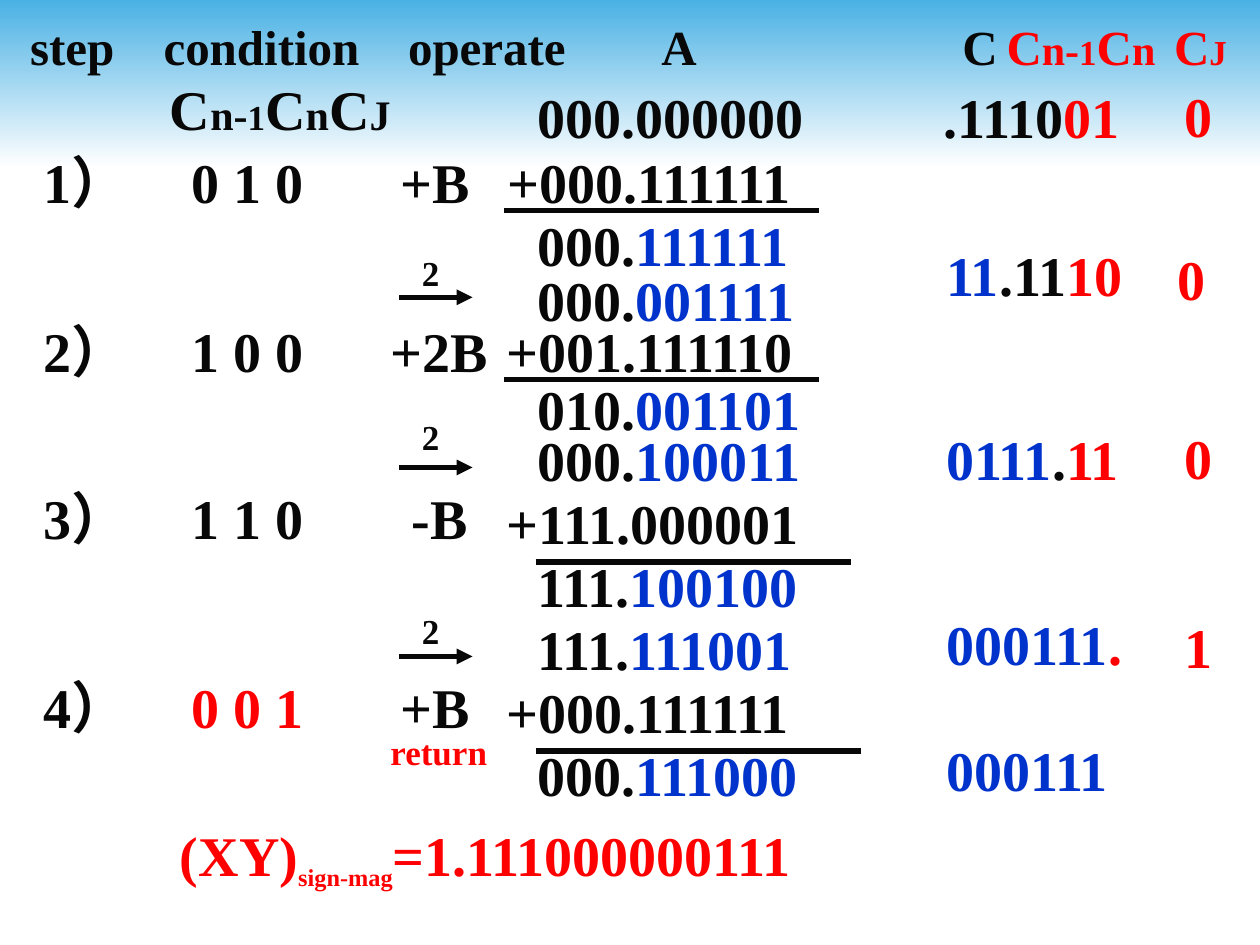
from lxml import etree
from pptx import Presentation
from pptx.dml.color import RGBColor
from pptx.enum.shapes import MSO_CONNECTOR, MSO_SHAPE
from pptx.enum.text import MSO_AUTO_SIZE
from pptx.oxml.ns import qn
from pptx.util import Inches, Pt

BLACK = RGBColor(0x08, 0x08, 0x08)
RED = RGBColor(0xFF, 0x00, 0x00)
BLUE = RGBColor(0x00, 0x33, 0xCC)
SKY = RGBColor(0x4A, 0xB1, 0xE4)
WHITE = RGBColor(0xFF, 0xFF, 0xFF)
STRAIGHT = MSO_CONNECTOR.STRAIGHT
RECTANGLE = MSO_SHAPE.RECTANGLE
GROW = MSO_AUTO_SIZE.SHAPE_TO_FIT_TEXT

STEPS = [
    (1.12, "1）", "0 1 0", BLACK, "+B", 3.08),
    (2.46, "2）", "1 0 0", BLACK, "+2B", 3.0),
    (3.79, "3）", "1 1 0", BLACK, "-B", 3.17),
    (5.29, "4）", "0 0 1", RED, "+B", 3.08),
]
ADDENDS = [
    (3.93, 1.12, "+000.111111"),
    (3.92, 2.46, "+001.111110"),
    (3.92, 3.83, "+111.000001"),
    (3.92, 5.33, "+000.111111"),
]
SUM_RULES = [(4, 6.5, 1.67), (4, 6.5, 3.01), (4.25, 6.75, 4.46), (4.25, 6.83, 5.96)]
PARTIAL_PRODUCTS = [
    (1.62, "000.", "111111"),
    (2.06, "000.", "001111"),
    (2.92, "010.", "001101"),
    (3.33, "000.", "100011"),
    (4.33, "111.", "100100"),
    (4.83, "111.", "111001"),
    (5.83, "000.", "111000"),
]
SHIFTS = [(1.95, 2.36), (3.25, 3.71), (4.79, 5.21)]
MULTIPLIERS = [
    (1.86, [("11", BLUE), (".11", BLACK), ("10", RED)]),
    (3.32, [("0111", BLUE), (".", BLACK), ("11", RED)]),
    (4.79, [("000111", BLUE), (".", RED)]),
    (5.79, [("000111", BLUE)]),
]
CARRY_BITS = [(9.3, 0.79, "0"), (9.25, 2.08, "0"), (9.3, 3.5, "0"), (9.3, 5, "1")]


class Board:
    def __init__(self, slide):
        self.slide = slide
        self.style = {"name": "Times New Roman", "bold": True}

    def band(self, width, height):
        band = self.slide.shapes.add_shape(RECTANGLE, 0, 0, Inches(width), Inches(height))
        band.shadow.inherit = False
        band.line.fill.background()
        band.fill.gradient()
        band.fill.gradient_angle = 270
        for stop, color in zip(band.fill.gradient_stops, (SKY, WHITE)):
            stop.color.rgb = color

    def text(self, left, top, width, height, runs, spacing=None, tabs=()):
        box = self.slide.shapes.add_textbox(
            Inches(left), Inches(top), Inches(width), Inches(height))
        frame = box.text_frame
        frame.word_wrap = True
        frame.auto_size = GROW
        paragraph = frame.paragraphs[0]
        if tabs:
            stops = etree.SubElement(paragraph._p.get_or_add_pPr(), qn("a:tabLst"))
            for position in tabs:
                etree.SubElement(stops, qn("a:tab"), pos=str(Inches(position)), algn="l")
        if spacing:
            paragraph.line_spacing = spacing
        for words, color, size, *baseline in runs:
            run = paragraph.add_run()
            run.text = words
            for name, value in {**self.style, "size": Pt(size)}.items():
                setattr(run.font, name, value)
            run.font.color.rgb = color
            if baseline:
                run._r.get_or_add_rPr().set("baseline", str(baseline[0]))

    def number(self, left, top, width, *parts):
        self.text(left, top, width, 0.64, [(words, color, 32) for words, color in parts])

    def line(self, start, end, y, arrow=False):
        line = self.slide.shapes.add_connector(
            STRAIGHT, Inches(start), Inches(y), Inches(end), Inches(y))
        line.line.color.rgb = BLACK
        line.line.width = Pt(3)
        if arrow:
            etree.SubElement(line.line._get_or_add_ln(), qn("a:tailEnd"), type="triangle")
        etree.SubElement(line._element.spPr, qn("a:effectLst"))


def main():
    prs = Presentation()
    prs.slide_width, prs.slide_height = Inches(10), Inches(7.5)
    board = Board(prs.slides.add_slide(prs.slide_layouts[6]))
    board.band(10, 1.33)

    board.text(0.14, 0.21, 9.58, 0.43, [("step\tcondition\toperate\tA\tC", BLACK, 28)],
               0.7, (1.06, 3, 5.01, 7.4))
    board.text(7.89, 0.08, 1.67, 0.57, [
        ("C", RED, 28), ("n-", RED, 24), ("1", RED, 20), ("C", RED, 28), ("n", RED, 24)])
    board.text(9.22, 0.08, 0.92, 0.57, [("C", RED, 28), ("J", RED, 20)])
    board.text(1.25, 0.54, 2.73, 0.64, [
        ("C", BLACK, 32), ("n-", BLACK, 24), ("1", BLACK, 20), ("C", BLACK, 32),
        ("n", BLACK, 24), ("C", BLACK, 32), ("J", BLACK, 24)])
    board.text(4.17, 0.79, 5.83, 0.42,
               [("000.000000\t.1110", BLACK, 32), ("01", RED, 32)], 0.6, (3.22,))

    for top, step, condition, color, operation, left in STEPS:
        board.number(0.25, top, 1.17, (step, BLACK))
        board.number(1.42, top, 1.75, (condition, color))
        board.number(left, top, 1.17, (operation, BLACK))
    for left, top, addend in ADDENDS:
        board.number(left, top, 3.25, (addend, BLACK))
    for start, end, y in SUM_RULES:
        board.line(start, end, y)
    for top, whole, fraction in PARTIAL_PRODUCTS:
        board.number(4.17, top, 2.92, (whole, BLACK), (fraction, BLUE))
    for top, y in SHIFTS:
        board.text(3.25, top, 0.58, 0.44, [("2", BLACK, 20)])
        board.line(3.17, 3.75, y, arrow=True)
    for top, parts in MULTIPLIERS:
        board.number(7.41, top, 2.25, *parts)
    for left, top, bit in CARRY_BITS:
        board.text(left, top, 0.75, 0.74, [(bit, RED, 32)], 0.6)

    board.text(3, 5.75, 1.17, 0.44, [("return", RED, 20)])
    board.text(1.33, 6.46, 5.67, 0.67, [
        ("(XY)", RED, 32), ("sign-mag", RED, 24, -25000), ("=1.111000000111", RED, 32)])
    prs.save("out.pptx")


if __name__ == "__main__":
    main()
